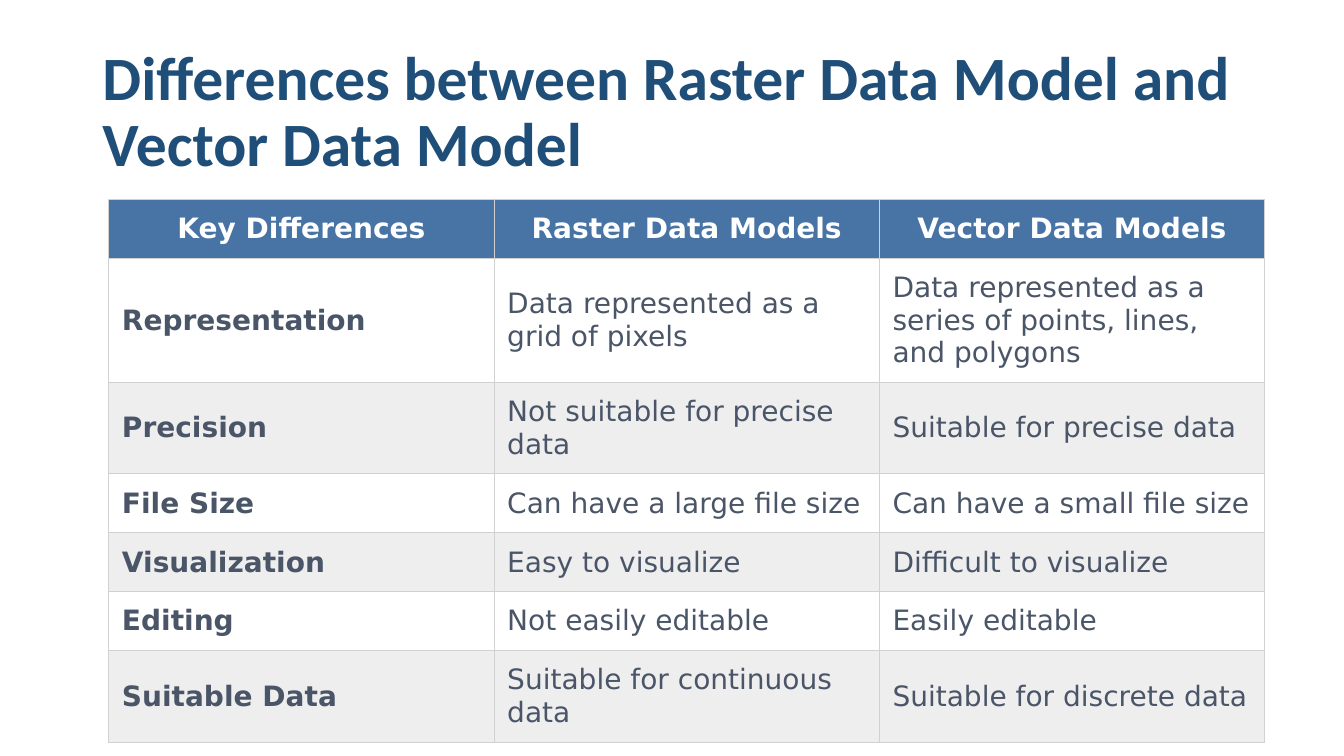
from pptx import Presentation
from pptx import util as u
from pptx.dml.color import RGBColor
from pptx.enum import text
from pptx.oxml import parse_xml
from pptx.oxml.ns import nsdecls

TITLE = "Differences between Raster Data Model and Vector Data Model"
ROWS = [
    ("Key Differences", "Raster Data Models", "Vector Data Models"),
    ("Representation", "Data represented as a grid of pixels",
     "Data represented as a series of points, lines, and polygons"),
    ("Precision", "Not suitable for precise data", "Suitable for precise data"),
    ("File Size", "Can have a large file size", "Can have a small file size"),
    ("Visualization", "Easy to visualize", "Difficult to visualize"),
    ("Editing", "Not easily editable", "Easily editable"),
    ("Suitable Data", "Suitable for continuous data", "Suitable for discrete data"),
]
ROW_HEIGHTS = [39.6, 80.6, 59, 39.6, 38.2, 38.2, 59]
COLUMN_WIDTH = 275.2
CELL_MARGIN = 9.4

NAVY = RGBColor(0x1F, 0x4E, 0x79)
BLUE = RGBColor(0x47, 0x73, 0xA5)
SLATE = RGBColor(0x4A, 0x55, 0x68)
WHITE = RGBColor(0xFF, 0xFF, 0xFF)
PALE_GREY = RGBColor(0xEE, 0xEE, 0xEE)
BORDER_GREY = RGBColor(0xD1, 0xD1, 0xD1)


def write(frame, words, *, size, font, color, bold=False,
          align=text.PP_ALIGN.LEFT, spacing=None):
    frame.word_wrap = True
    para = frame.paragraphs[0]
    para.alignment = align
    para.line_spacing = spacing
    span = para.add_run()
    span.text = words
    span.font.size = u.Pt(size)
    span.font.name = font
    span.font.bold = bold
    span.font.color.rgb = color


def add_borders(cell):
    properties = cell._tc.get_or_add_tcPr()
    for side in ("lnL", "lnR", "lnT", "lnB"):
        properties.append(parse_xml(
            f'<a:{side} {nsdecls("a")} w="{u.Pt(0.75)}"><a:solidFill>'
            f'<a:srgbClr val="{BORDER_GREY}"/></a:solidFill></a:{side}>'))


def add_title(page):
    title = page.shapes.title
    title.left, title.top = u.Pt(66), u.Pt(28.75)
    title.width, title.height = u.Pt(828), u.Pt(104.4)
    frame = title.text_frame
    frame.auto_size = text.MSO_AUTO_SIZE.NONE
    frame.vertical_anchor = text.MSO_ANCHOR.MIDDLE
    write(frame, TITLE, size=44, font="Calibri", color=NAVY, bold=True, spacing=0.9)


def add_comparison(page):
    columns = len(ROWS[0])
    table = page.shapes.add_table(
        len(ROWS), columns, u.Pt(77.75), u.Pt(142.5),
        u.Pt(COLUMN_WIDTH * columns), u.Pt(sum(ROW_HEIGHTS))).table
    table.horz_banding = False
    for column in table.columns:
        column.width = u.Pt(COLUMN_WIDTH)
    for r, (labels, height) in enumerate(zip(ROWS, ROW_HEIGHTS)):
        table.rows[r].height = u.Pt(height)
        header = r == 0
        band = BLUE if header else WHITE if r % 2 else PALE_GREY
        for c, label in enumerate(labels):
            cell = table.cell(r, c)
            cell.margin_left = cell.margin_right = u.Pt(CELL_MARGIN)
            cell.margin_top = cell.margin_bottom = u.Pt(CELL_MARGIN)
            cell.vertical_anchor = text.MSO_ANCHOR.MIDDLE
            add_borders(cell)
            cell.fill.solid()
            cell.fill.fore_color.rgb = band
            write(cell.text_frame, label, size=20, font="DejaVu Sans",
                  color=WHITE if header else SLATE, bold=header or c == 0,
                  align=text.PP_ALIGN.CENTER if header else text.PP_ALIGN.LEFT)


def main():
    deck = Presentation()
    deck.slide_width, deck.slide_height = u.Pt(960), u.Pt(540)
    page = deck.slides.add_slide(deck.slide_layouts.get_by_name("Title Only"))
    add_title(page)
    add_comparison(page)
    deck.save("out.pptx")


if __name__ == "__main__":
    main()
